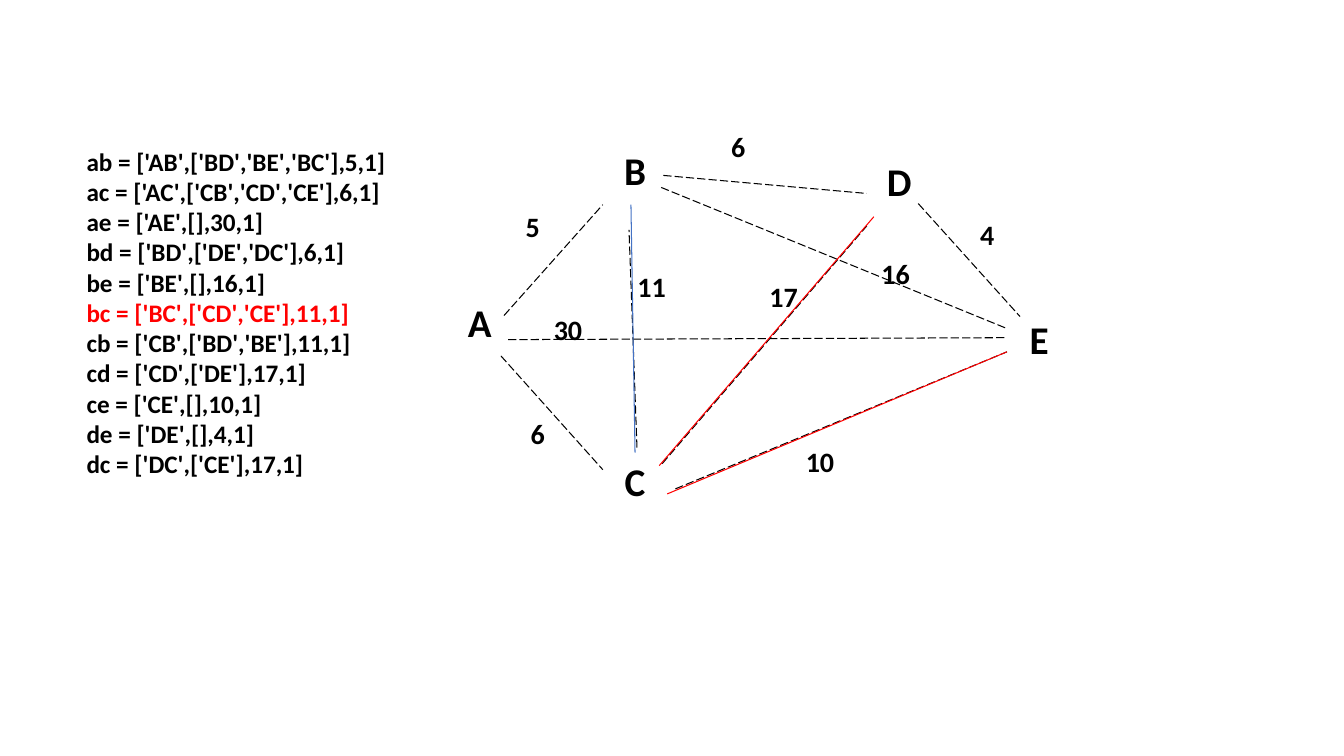
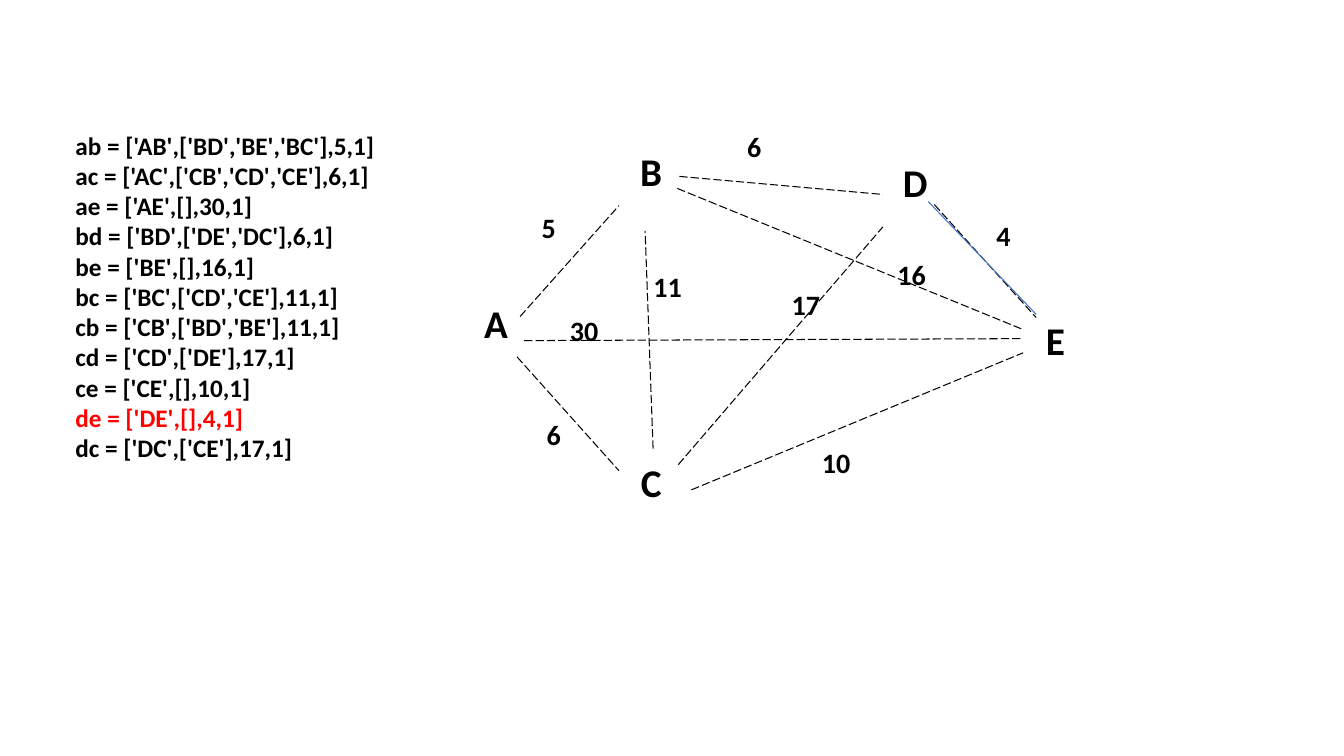
from dataclasses import dataclass
from typing import Any, Optional

import pptx
import pptx.dml.color
import pptx.enum.dml
import pptx.enum.shapes
import pptx.enum.text
import pptx.util
import lxml.etree

Pt = pptx.util.Pt
RGBColor = pptx.dml.color.RGBColor
Point = tuple[float, float]


@dataclass(frozen=True)
class Theme:
    font: str = "Calibri"
    text: RGBColor = RGBColor(0x00, 0x00, 0x00)
    current: RGBColor = RGBColor(0xFF, 0x00, 0x00)
    visited: RGBColor = RGBColor(0x44, 0x72, 0xC4)
    node_size: float = 28
    weight_size: float = 20
    listing_size: float = 18
    line_width: float = 0.75


@dataclass(frozen=True)
class Label:
    text: str
    left: float
    top: float


@dataclass(frozen=True)
class Line:
    start: Point
    end: Point
    color: RGBColor
    dashed: bool = False


@dataclass(frozen=True)
class Step:
    listing_origin: Point
    active_name: str
    graph_shift: Point
    long_edge_shift: Point
    highlights: tuple[Line, ...]


THEME = Theme()
NODE_BOX = (46, 58)
WEIGHT_BOX = (51, 44.6)
LISTING_BOX = (260.6, 291)

LISTING = (
    "ab = ['AB',['BD','BE','BC'],5,1]",
    "ac = ['AC',['CB','CD','CE'],6,1]",
    "ae = ['AE',[],30,1]",
    "bd = ['BD',['DE','DC'],6,1]",
    "be = ['BE',[],16,1]",
    "bc = ['BC',['CD','CE'],11,1]",
    "cb = ['CB',['BD','BE'],11,1]",
    "cd = ['CD',['DE'],17,1]",
    "ce = ['CE',[],10,1]",
    "de = ['DE',[],4,1]",
    "dc = ['DC',['CE'],17,1]",
)

NODES = (
    Label("A", 319.7, 209.5),
    Label("E", 719.3, 221.8),
    Label("B", 430.6, 100.8),
    Label("C", 430.6, 323.3),
    Label("D", 619.2, 108.7),
)

EDGES = tuple(
    Line(start, end, THEME.text, dashed=True)
    for start, end in (
        ((357.8, 254.2), (430.6, 335.5)),  # A to C
        ((455, 319.7), (449.3, 164.2)),  # C to B
        ((473.8, 125.3), (619.2, 138.2)),  # B to D
        ((360, 225.4), (430.6, 146.2)),  # A to B
        ((472.3, 133.9), (719.3, 234.7)),  # B to E
        ((482.4, 349.2), (719.3, 251.3)),  # C to E
        ((655.9, 145.4), (728.6, 226.1)),  # D to E
        ((473, 331.2), (619.2, 161.3)),  # C to D
        ((362.9, 242.6), (719.3, 241.2)),  # A to E
    )
)

WEIGHTS = (
    Label("5", 355, 146.2),
    Label("6", 358.6, 293.8),
    Label("10", 560.2, 313.9),
    Label("30", 380.2, 219.6),
    Label("16", 614.2, 180),
    Label("11", 439.9, 188.6),
    Label("6", 501.8, 88.6),
    Label("4", 679.7, 151.9),
)
LONG_EDGE_WEIGHT = Label("17", 534.2, 195.8)

STEPS = (
    Step(
        listing_origin=(54.7, 100.8),
        active_name="bc",
        graph_shift=(0, 0),
        long_edge_shift=(0, 0),
        highlights=(
            Line((450.7, 146.2), (453.6, 323.3), THEME.visited),
            Line((470.9, 332.6), (624.2, 154.8), THEME.current),
            Line((476.6, 352.8), (719.3, 251.3), THEME.current),
        ),
    ),
    Step(
        listing_origin=(46.8, 89.3),
        active_name="de",
        graph_shift=(11.5, 0.7),
        long_edge_shift=(15.9, 5.8),
        highlights=(Line((740.2, 224.6), (663.1, 144), THEME.visited),),
    ),
)


def add_text(shapes: Any, lines: tuple[str, ...], origin: Point, box: Point,
             size: float, centered: bool = False,
             active_name: Optional[str] = None) -> None:
    """Add bold text; the line that defines active_name is coloured."""
    shape = shapes.add_textbox(*(Pt(value) for value in (*origin, *box)))
    text_frame = shape.text_frame
    text_frame.word_wrap = True
    text_frame.text = "\n".join(lines)
    for paragraph in text_frame.paragraphs:
        if centered:
            paragraph.alignment = pptx.enum.text.PP_ALIGN.CENTER
        active = paragraph.text.split(" ")[0] == active_name
        for run in paragraph.runs:
            run.font.name = THEME.font
            run.font.size = Pt(size)
            run.font.bold = True
            run.font.color.rgb = THEME.current if active else THEME.text


def add_label(shapes: Any, label: Label, shift: Point, box: Point, size: float) -> None:
    origin = (label.left + shift[0], label.top + shift[1])
    add_text(shapes, (label.text,), origin, box, size, centered=True)


def add_line(shapes: Any, line: Line, shift: Point = (0, 0)) -> None:
    ends = [Pt(point[axis] + shift[axis])
            for point in (line.start, line.end) for axis in (0, 1)]
    connector = shapes.add_connector(pptx.enum.shapes.MSO_CONNECTOR.STRAIGHT, *ends)
    connector.line.color.rgb = line.color
    connector.line.width = Pt(THEME.line_width)
    if line.dashed:
        connector.line.dash_style = pptx.enum.dml.MSO_LINE.LONG_DASH
    # An empty effect list removes the theme shadow
    properties = connector.line._get_or_add_ln().getparent()
    namespace = lxml.etree.QName(properties[0]).namespace
    lxml.etree.SubElement(properties, f"{{{namespace}}}effectLst")


def add_graph(slide: Any, step: Step) -> None:
    shapes = slide.shapes.add_group_shape().shapes
    for node in NODES:
        add_label(shapes, node, step.graph_shift, NODE_BOX, THEME.node_size)
    for edge in EDGES:
        add_line(shapes, edge, step.graph_shift)
    for weight in WEIGHTS:
        add_label(shapes, weight, step.graph_shift, WEIGHT_BOX, THEME.weight_size)
    add_label(shapes, LONG_EDGE_WEIGHT, step.long_edge_shift, WEIGHT_BOX,
              THEME.weight_size)


def add_step_slide(presentation: Any, step: Step) -> None:
    slide = presentation.slides.add_slide(presentation.slide_layouts[6])
    add_graph(slide, step)
    # Edge definitions
    add_text(slide.shapes, LISTING, step.listing_origin, LISTING_BOX,
             THEME.listing_size, active_name=step.active_name)
    # Edges of the current step
    for highlight in step.highlights:
        add_line(slide.shapes, highlight)


def main() -> None:
    presentation = pptx.Presentation()
    presentation.slide_width = Pt(960)
    presentation.slide_height = Pt(540)
    for step in STEPS:
        add_step_slide(presentation, step)
    presentation.save("out.pptx")


if __name__ == "__main__":
    main()
